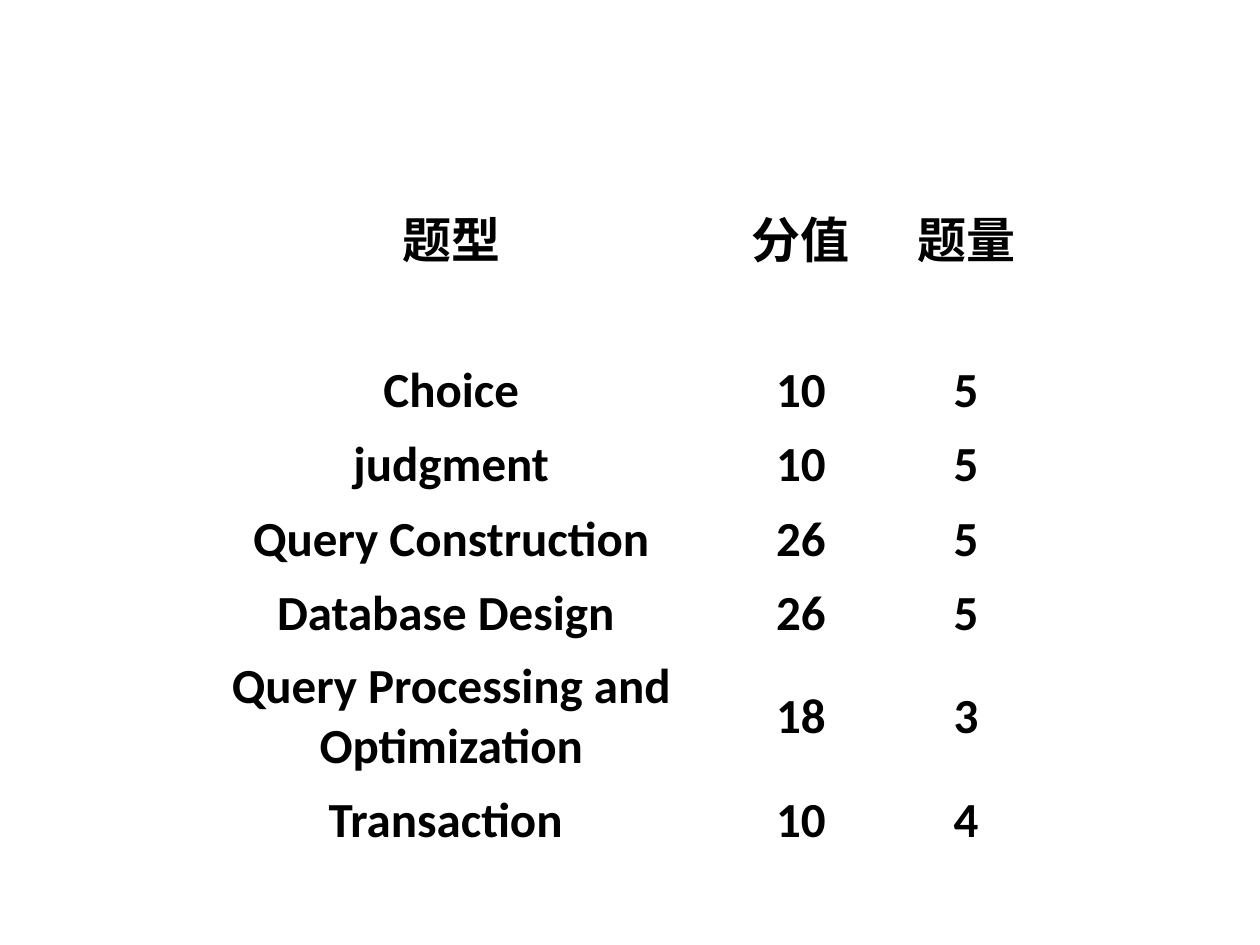
from dataclasses import dataclass

import pptx
import pptx.dml.color
import pptx.enum.text
import pptx.util
from pptx.util import Cm


@dataclass(frozen=True)
class Theme:
    """Colours and type of the deck."""
    font: str = "Calibri"
    size: int = 28
    text: str = "000000"


THEME = Theme()
COL_WIDTHS = (10.77, 3.33, 3.33)
ROW_HEIGHT = 1.5
TALL_ROW_HEIGHT = 2.44
TALL_ROW = 6
ROWS = (
    ("题型", "分值", "题量"),
    ("", "", ""),
    ("Choice", "10", "5"),
    ("judgment", "10", "5"),
    ("Query Construction", "26", "5"),
    ("Database Design ", "26", "5"),
    ("Query Processing and Optimization", "18", "3"),
    ("Transaction ", "10", "4"),
)


def fill_cell(cell, text):
    """Write centred bold text in a cell without a fill."""
    cell.fill.background()
    cell.vertical_anchor = pptx.enum.text.MSO_ANCHOR.MIDDLE
    cell.text_frame.text = text
    p = cell.text_frame.paragraphs[0]
    p.alignment = pptx.enum.text.PP_ALIGN.CENTER
    for r in p.runs:
        r.font.name = THEME.font
        r.font.size = pptx.util.Pt(THEME.size)
        r.font.bold = True
        r.font.color.rgb = pptx.dml.color.RGBColor.from_string(THEME.text)


def add_score_table(s, left, top, width, height):
    """Place the table of question types, scores and counts in a box."""
    table = s.shapes.add_table(len(ROWS), len(COL_WIDTHS), Cm(left), Cm(top),
                               Cm(width), Cm(height)).table
    table.first_row = False
    table.horz_banding = False
    for column, share in zip(table.columns, COL_WIDTHS):
        column.width = Cm(width * share / sum(COL_WIDTHS))
    heights = [TALL_ROW_HEIGHT if i == TALL_ROW else ROW_HEIGHT
               for i in range(len(ROWS))]
    for row, share, texts in zip(table.rows, heights, ROWS):
        row.height = Cm(height * share / sum(heights))
        for cell, text in zip(row.cells, texts):
            fill_cell(cell, text)


def main():
    """Build the slide and save it."""
    prs = pptx.Presentation()
    prs.slide_width, prs.slide_height = Cm(25.4), Cm(19.05)
    s = prs.slides.add_slide(prs.slide_layouts[6])
    add_score_table(s, 3.71, 3.94, 17.43, 12.94)
    prs.save("out.pptx")


if __name__ == "__main__":
    main()
